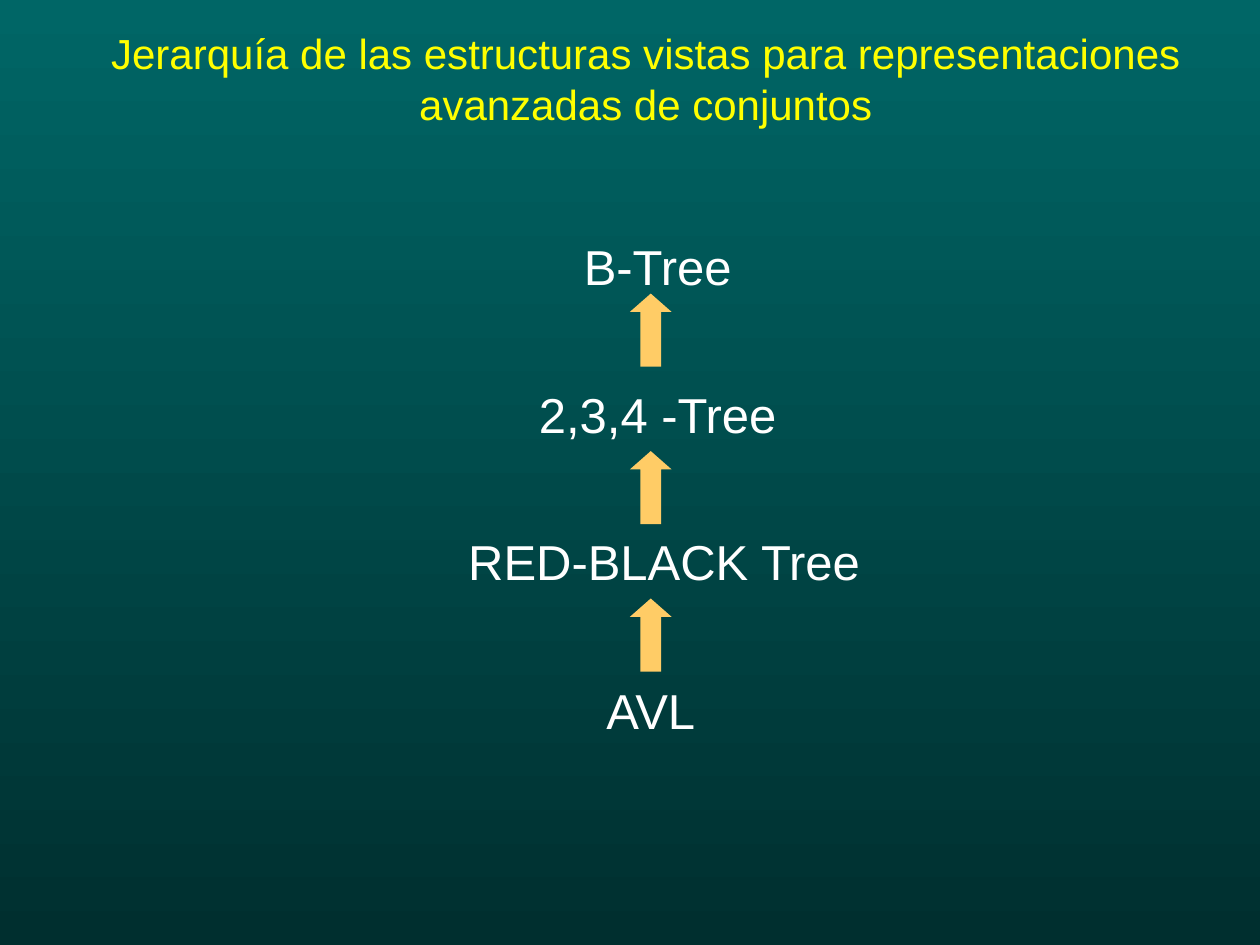
from pptx import Presentation
from pptx.dml.color import RGBColor
from pptx.enum.shapes import MSO_SHAPE
from pptx.enum.text import MSO_ANCHOR, MSO_AUTO_SIZE, PP_ALIGN
from pptx.util import Inches, Pt

TEAL = RGBColor(0x00, 0x66, 0x66)
DARK_TEAL = RGBColor(0x00, 0x2F, 0x2F)
YELLOW = RGBColor(0xFF, 0xFF, 0x00)
WHITE = RGBColor(0xFF, 0xFF, 0xFF)
ORANGE = RGBColor(0xFF, 0xCC, 0x66)

FONT = "Arial"

# Structures from top to bottom: name, left, top, width
STRUCTURES = [
    ("B-Tree", 3.4, 1.83, 3.64),
    ("2,3,4 -Tree", 3.4, 3, 3.64),
    ("RED-BLACK Tree", 2.42, 4.17, 5.7),
    ("AVL", 4.5, 5.35, 1.33),
]
LABEL_HEIGHT = 0.57
ARROW_TOPS = [2.33, 3.58, 4.75]


def paint_background(slide):
    fill = slide.background.fill
    fill.gradient()
    fill.gradient_angle = 270  # top to bottom
    for stop, color, position in zip(fill.gradient_stops, (TEAL, DARK_TEAL), (0, 1)):
        stop.color.rgb = color
        stop.position = position


def write_centered(shape, text, size, color):
    frame = shape.text_frame
    frame.text = text
    frame.word_wrap = True
    frame.auto_size = MSO_AUTO_SIZE.NONE
    frame.vertical_anchor = MSO_ANCHOR.TOP
    paragraph = frame.paragraphs[0]
    paragraph.alignment = PP_ALIGN.CENTER
    font = paragraph.runs[0].font
    font.name = FONT
    font.size = Pt(size)
    font.color.rgb = color


def place_title(slide, left, top, width, height):
    title = slide.shapes.title
    title.left, title.top = Inches(left), Inches(top)
    title.width, title.height = Inches(width), Inches(height)
    write_centered(
        title,
        "Jerarquía de las estructuras vistas para representaciones avanzadas de conjuntos",
        24, YELLOW)


def add_up_arrow(slide, left, top, width, height):
    arrow = slide.shapes.add_shape(
        MSO_SHAPE.UP_ARROW, Inches(left), Inches(top), Inches(width), Inches(height))
    arrow.adjustments[1] = 0.44
    arrow.shadow.inherit = False
    arrow.fill.solid()
    arrow.fill.fore_color.rgb = ORANGE
    arrow.line.fill.background()


def add_hierarchy(slide, arrow_left, arrow_width, arrow_height):
    # Structure names
    for name, left, top, width in STRUCTURES:
        label = slide.shapes.add_textbox(
            Inches(left), Inches(top), Inches(width), Inches(LABEL_HEIGHT))
        write_centered(label, name, 28, WHITE)
    # Arrows from each structure to the one above
    for top in ARROW_TOPS:
        add_up_arrow(slide, arrow_left, top, arrow_width, arrow_height)


def main():
    presentation = Presentation()
    presentation.slide_width = Inches(10)
    presentation.slide_height = Inches(7.5)
    slide = presentation.slides.add_slide(presentation.slide_layouts[5])  # Title Only

    paint_background(slide)
    place_title(slide, 0.75, 0.17, 8.75, 0.9)
    add_hierarchy(slide, arrow_left=5, arrow_width=0.33, arrow_height=0.58)

    presentation.save("out.pptx")


if __name__ == "__main__":
    main()
